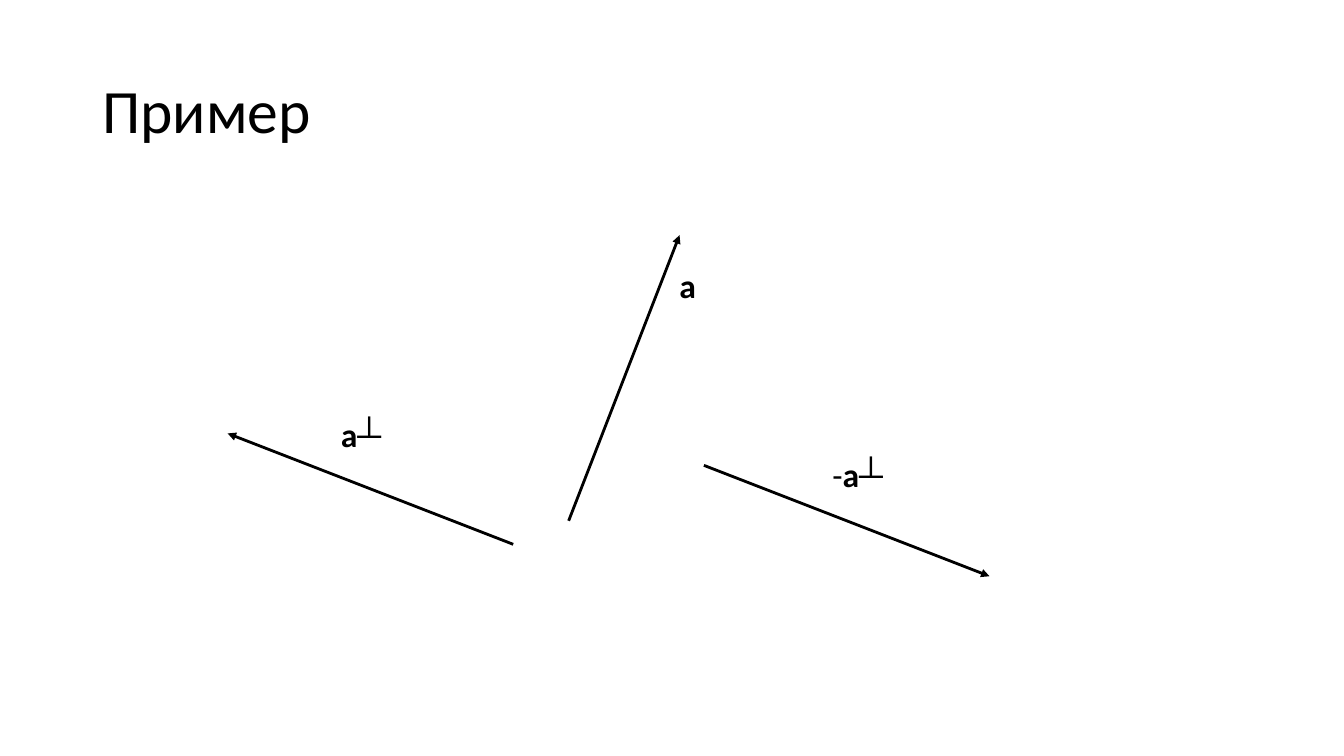
from dataclasses import dataclass

from lxml.etree import SubElement
from pptx import Presentation
from pptx.dml.color import RGBColor
from pptx.enum.shapes import MSO_CONNECTOR as Connector
from pptx.enum.text import MSO_ANCHOR as Anchor, MSO_AUTO_SIZE as AutoSize
from pptx.oxml.ns import qn
from pptx.util import Inches, Pt


@dataclass(frozen=True)
class Theme:
    ink: RGBColor = RGBColor(0, 0, 0)
    paper: RGBColor = RGBColor(255, 255, 255)
    font: str = "Calibri"
    symbol_font: str = "Arial"
    title_size: int = 44
    label_size: int = 24
    line_width: int = 2


class VectorSlide:
    COLUMNS, ROWS = 160, 90

    def __init__(self, prs, theme):
        self.theme = theme
        self.column = prs.slide_width / self.COLUMNS
        self.row = prs.slide_height / self.ROWS
        self.s = prs.slides.add_slide(prs.slide_layouts[6])
        fill = self.s.background.fill
        fill.solid()
        fill.fore_color.rgb = theme.paper

    def place(self, *lengths):
        units = (self.column, self.row) * 2
        return [round(n * unit) for n, unit in zip(lengths, units)]

    def style(self, r, size, bold=False, font=None):
        r.font.name = font or self.theme.font
        r.font.size = Pt(size)
        r.font.bold = bold
        r.font.color.rgb = self.theme.ink

    def title(self, text, *box):
        tf = self.s.shapes.add_textbox(*self.place(*box)).text_frame
        tf.word_wrap = True
        tf.vertical_anchor = Anchor.MIDDLE
        tf.text = text
        p = tf.paragraphs[0]
        p.line_spacing = 0.9
        self.style(p.runs[0], self.theme.title_size)

    def label(self, text, *box):
        tf = self.s.shapes.add_textbox(*self.place(*box)).text_frame
        tf.word_wrap = False
        tf.auto_size = AutoSize.SHAPE_TO_FIT_TEXT
        for symbol in text:
            r = tf.paragraphs[0].add_run()
            r.text = symbol
            font = self.theme.symbol_font if symbol == "┴" else None
            self.style(r, self.theme.label_size, symbol != "-", font)

    def vector(self, start, delta):
        end = [a + d for a, d in zip(start, delta)]
        arrow = self.s.shapes.add_connector(
            Connector.STRAIGHT, *self.place(*start, *end))
        arrow.line.color.rgb = self.theme.ink
        arrow.line.width = Pt(self.theme.line_width)
        ln = arrow.line._get_or_add_ln()
        SubElement(ln, qn("a:tailEnd"), type="triangle")
        SubElement(ln.getparent(), qn("a:effectLst"))


def main():
    prs = Presentation()
    prs.slide_width, prs.slide_height = Inches(13.333), Inches(7.5)
    slide = VectorSlide(prs, Theme())
    slide.title("Пример", 11, 4.8, 138, 17.4)

    dx, dy = 13.2, -34
    slide.vector((67.7, 62), (dx, dy))
    slide.vector((61.1, 64.8), (dy, -dx))
    slide.vector((83.8, 55.4), (-dy, dx))

    slide.label("a", 79.7, 31, 4.8, 6)
    slide.label("a┴", 39.4, 48.7, 7.7, 6)
    slide.label("-a┴", 97.9, 53.5, 9.1, 6)
    prs.save("out.pptx")


if __name__ == "__main__":
    main()
